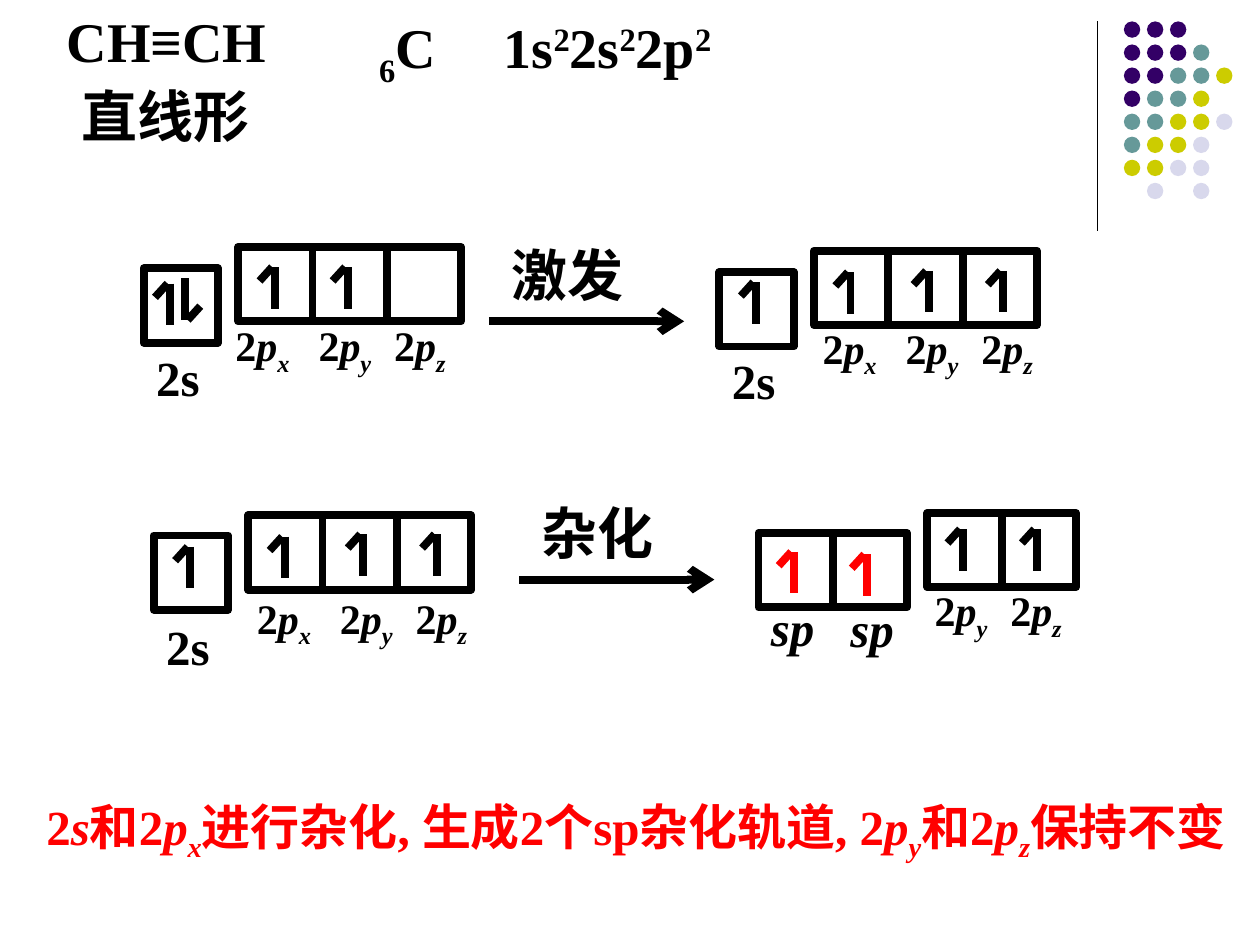
from lxml import etree
from pptx import Presentation
from pptx.dml.color import RGBColor
from pptx.enum.shapes import MSO_CONNECTOR, MSO_SHAPE
from pptx.enum.text import MSO_AUTO_SIZE
from pptx.oxml.ns import qn
from pptx.util import Inches, Pt

STRAIGHT = MSO_CONNECTOR.STRAIGHT
OVAL = MSO_SHAPE.OVAL
RECTANGLE = MSO_SHAPE.RECTANGLE
FIT_TEXT = MSO_AUTO_SIZE.SHAPE_TO_FIT_TEXT

FONT = "Times New Roman"
COLORS = {
    "black": "000000", "red": "FF0000",
    "P": "330066", "T": "669999", "Y": "CCCC00", "L": "D8D8EC",
}
THICK = 4.5
CELL = 0.59
BASELINES = {"sub": "-25000", "sup": "30000"}

DOT_ROWS = ["PPP", "PPPT", "PPTTY", "PTTY", "TTYYL", "TYYL", "YYLL", " L L"]
DOT_LEFT, DOT_TOP, DOT_STEP, DOT_SIZE = 8.92, 0.17, 0.183, 0.13

# Runs are (text, style); left, top, width, height, size, runs
HEADINGS = [
    (0.43, 0, 2.42, 0.63, 32, [("CH≡CH", "")]),
    (0.55, 0.6, 2.17, 0.63, 32, [("直线形", "")]),
    (2.91, 0.05, 0.82, 0.63, 32, [("6", "sub"), ("C", "")]),
    (3.9, 0.05, 2.2, 0.63, 32, [("1s", ""), ("2", "sup"), ("2s", ""),
                                ("2", "sup"), ("2p", ""), ("2", "sup")]),
]
CONCLUSION = [
    ("2", ""), ("s", "italic"), ("和2", ""), ("p", "italic"),
    ("x", "italic sub"), ("进行杂化, 生成2个sp杂化轨道, 2", ""),
    ("p", "italic"), ("y", "italic sub"), ("和2", ""), ("p", "italic"),
    ("z", "italic sub"), ("保持不变", ""),
]

# left, top, number of cells
ORBITAL_BOXES = [
    (1.14, 2.13, 1), (1.89, 1.96, 3), (5.71, 2.16, 1), (6.46, 1.99, 3),
    (1.22, 4.25, 1), (1.97, 4.09, 3), (6.02, 4.23, 2), (7.36, 4.07, 2),
]
# stem x, top y, colour
SPINS_UP = [
    (1.35, 2.25, "black"), (2.18, 2.12, "black"), (2.76, 2.12, "black"),
    (6.0, 2.24, "black"), (6.75, 2.16, "black"), (7.37, 2.15, "black"),
    (7.96, 2.15, "black"), (1.51, 4.34, "black"), (2.26, 4.26, "black"),
    (2.88, 4.24, "black"), (3.47, 4.24, "black"), (6.3, 4.38, "red"),
    (6.88, 4.4, "red"), (7.64, 4.2, "black"), (8.23, 4.2, "black"),
]
SPIN_DOWN = (1.47, 2.54, "black")
S_LABELS = [(1.14, 2.71), (5.71, 2.73), (1.22, 4.84)]
SP_LABELS = [(6.02, 4.69), (6.65, 4.7)]
# left of the px position, top, axes shown
P_LABELS = [(1.77, 2.49, "xyz"), (6.43, 2.51, "xyz"),
            (1.94, 4.65, "xyz"), (6.66, 4.59, "yz")]
P_OFFSETS = {"x": 0, "y": 0.66, "z": 1.26}
# arrow left, arrow y, label
STEPS = [(3.88, 2.55, "激发"), (4.12, 4.6, "杂化")]


def color(name):
    return RGBColor.from_string(COLORS[name])


def add_line(slide, start, end, color_name="black", width=THICK, arrow=False):
    line = slide.shapes.add_connector(
        STRAIGHT, *(Inches(value) for value in (*start, *end)))
    line.line.color.rgb = color(color_name)
    line.line.width = Pt(width)
    if arrow:
        etree.SubElement(line.line._get_or_add_ln(), qn("a:tailEnd"), type="arrow")
    etree.SubElement(line._element.spPr, qn("a:effectLst"))


def add_text(slide, left, top, width, height, size, runs,
             color_name="black", wrap=True):
    box = slide.shapes.add_textbox(
        Inches(left), Inches(top), Inches(width), Inches(height))
    frame = box.text_frame
    frame.word_wrap = wrap
    frame.auto_size = FIT_TEXT
    for text, style in runs:
        run = frame.paragraphs[0].add_run()
        run.text = text
        font = run.font
        font.name, font.size, font.bold = FONT, Pt(size), True
        font.italic = "italic" in style
        font.color.rgb = color(color_name)
        for name, baseline in BASELINES.items():
            if name in style:
                run._r.get_or_add_rPr().set("baseline", baseline)


def add_dots(slide):
    for row, letters in enumerate(DOT_ROWS):
        for column, letter in enumerate(letters):
            if letter == " ":
                continue
            dot = slide.shapes.add_shape(
                OVAL, Inches(DOT_LEFT + column * DOT_STEP),
                Inches(DOT_TOP + row * DOT_STEP), Inches(DOT_SIZE), Inches(DOT_SIZE))
            dot.shadow.inherit = False
            dot.fill.solid()
            dot.fill.fore_color.rgb = color(letter)
            dot.line.fill.background()


def add_orbitals(slide, left, top, cells):
    box = slide.shapes.add_shape(
        RECTANGLE, Inches(left), Inches(top), Inches(cells * CELL), Inches(CELL))
    box.shadow.inherit = False
    box.fill.background()
    box.line.color.rgb = color("black")
    box.line.width = Pt(THICK)
    for divider in range(1, cells):
        x = left + divider * CELL
        add_line(slide, (x, top), (x, top + CELL))


def add_spin(slide, x, y, color_name, direction=1):
    """Draw a half-headed arrow with its tip at (x, y); direction -1 points down."""
    add_line(slide, (x - 0.02 * direction, y),
             (x - 0.12 * direction, y + 0.11 * direction), color_name)
    add_line(slide, (x, y), (x, y + 0.33 * direction), color_name)


def main():
    presentation = Presentation()
    presentation.slide_width, presentation.slide_height = Inches(10), Inches(7.5)
    slide = presentation.slides.add_slide(presentation.slide_layouts[6])

    add_line(slide, (8.71, 0.17), (8.71, 1.83), width=0.75)
    add_dots(slide)
    for heading in HEADINGS:
        add_text(slide, *heading)
    for box in ORBITAL_BOXES:
        add_orbitals(slide, *box)
    for spin in SPINS_UP:
        add_spin(slide, *spin)
    add_spin(slide, *SPIN_DOWN, direction=-1)
    for left, y, label in STEPS:
        add_line(slide, (left, y), (left + 1.55, y), arrow=True)
        add_text(slide, left + 0.08, y - 0.69, 1.67, 0.63, 32, [(label, "")])
    for left, top in S_LABELS:
        add_text(slide, left, top, 0.71, 0.57, 28, [("2s", "")])
    for left, top in SP_LABELS:
        add_text(slide, left, top, 0.55, 0.57, 28, [("sp", "italic")], wrap=False)
    for left, top, axes in P_LABELS:
        for axis in axes:
            add_text(slide, left + P_OFFSETS[axis], top, 0.63, 0.5, 24,
                     [("2", ""), ("p", "italic"), (axis, "italic sub")], wrap=False)
    add_text(slide, 0.27, 6.27, 9.73, 0.57, 28, CONCLUSION, "red")
    presentation.save("out.pptx")


if __name__ == "__main__":
    main()
